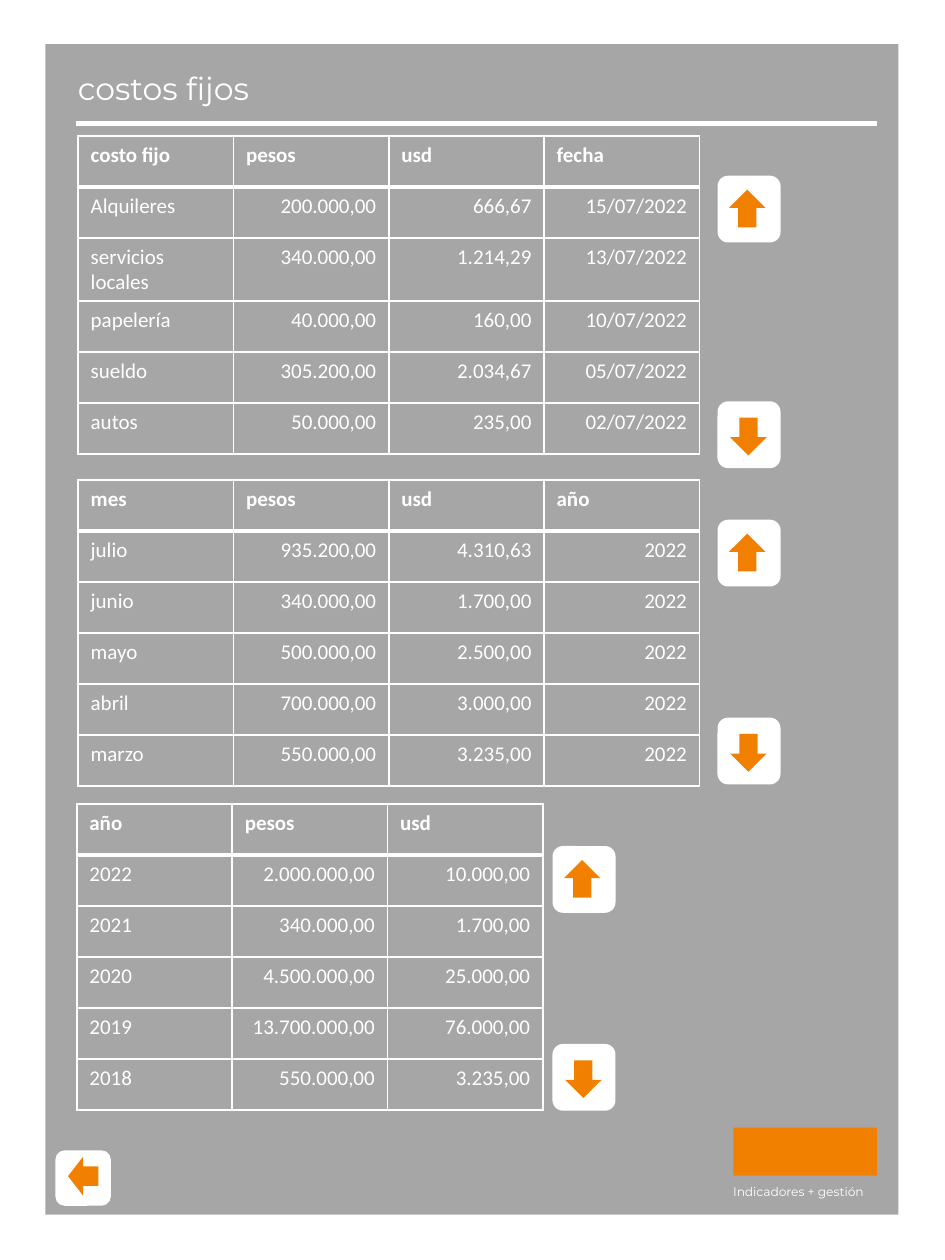
from lxml import etree
from pptx import Presentation, util as u
from pptx.dml.color import RGBColor
from pptx.enum import shapes as s, text as t
from pptx.oxml import ns

COLORS = {"panel": "A6A6A6", "accent": "F28000", "light": "FFFFFF"}
SLIDE_W, SLIDE_H = u.Inches(7.5), u.Inches(10)
COLS, ROWS = 75, 100
CELL_W, ROW_H = 12.33, 4.05
BUTTON_W, BUTTON_H = 5.3, 5
GLYPH_W, GLYPH_H = 3, 2.9

FIXED_COSTS = [
    ("costo fijo", "pesos", "usd", "fecha"),
    ("Alquileres", "200.000,00", "666,67", "15/07/2022"),
    ("servicios locales", "340.000,00", "1.214,29", "13/07/2022"),
    ("papelería", "40.000,00", "160,00", "10/07/2022"),
    ("sueldo", "305.200,00", "2.034,67", "05/07/2022"),
    ("autos", "50.000,00", "235,00", "02/07/2022"),
]
MONTHLY_COSTS = [
    ("mes", "pesos", "usd", "año"),
    ("julio", "935.200,00", "4.310,63", "2022"),
    ("junio", "340.000,00", "1.700,00", "2022"),
    ("mayo", "500.000,00", "2.500,00", "2022"),
    ("abril", "700.000,00", "3.000,00", "2022"),
    ("marzo", "550.000,00", "3.235,00", "2022"),
]
YEARLY_COSTS = [
    ("año", "pesos", "usd"),
    ("2022", "2.000.000,00", "10.000,00"),
    ("2021", "340.000,00", "1.700,00"),
    ("2020", "4.500.000,00", "25.000,00"),
    ("2019", "13.700.000,00", "76.000,00"),
    ("2018", "550.000,00", "3.235,00"),
]


def col(count):
    """Return the width of a number of grid columns."""
    return round(SLIDE_W * count / COLS)


def row(count):
    """Return the height of a number of grid rows."""
    return round(SLIDE_H * count / ROWS)


def place(box):
    """Turn a grid box into slide lengths."""
    left, top, width, height = box
    return col(left), row(top), col(width), row(height)


def rgb(color):
    """Look up a colour by its role."""
    return RGBColor.from_string(COLORS[color])


def add_block(slide, kind, box, color, rotation=0):
    """Add a flat filled shape."""
    block = slide.shapes.add_shape(kind, *place(box))
    block.shadow.inherit = False
    block.fill.solid()
    block.fill.fore_color.rgb = rgb(color)
    block.line.fill.background()
    block.rotation = rotation


def style_text(paragraph, font, size, bold=False):
    """Format every run of a paragraph."""
    for run in paragraph.runs:
        run.font.name = font
        run.font.size = u.Pt(size)
        run.font.bold = bold
        run.font.color.rgb = rgb("light")


def add_label(slide, box, wording, size):
    """Add a line of text."""
    label = slide.shapes.add_textbox(*place(box)).text_frame
    label.word_wrap = True
    label.text = wording
    style_text(label.paragraphs[0], "Montserrat", size)


def add_button(slide, box, glyph_box, rotation=0):
    """Add a rounded button with an arrow, whose box is relative to the button."""
    left, top = box[:2]
    dx, dy, width, height = glyph_box
    add_block(slide, s.MSO_SHAPE.ROUNDED_RECTANGLE, box, "light", rotation)
    add_block(slide, s.MSO_SHAPE.LEFT_ARROW,
              (left + dx, top + dy, width, height), "accent", rotation)


def add_scroll(slide, box):
    """Add an up button at the top of the box and a down button at its foot."""
    left, top, width, height = box
    add_button(slide, (left, top + height - BUTTON_H, width, BUTTON_H),
               (1.1, 1.2, GLYPH_W, GLYPH_H), 270)
    add_button(slide, (left, top, width, BUTTON_H),
               (1, 1, GLYPH_W, GLYPH_H), 90)


def set_borders(cell, top, bottom):
    """Draw the four borders of a cell, then leave it unfilled."""
    properties = cell._tc.get_or_add_tcPr()
    for side, points in (("L", 1), ("R", 1), ("T", top), ("B", bottom)):
        border = etree.SubElement(properties, ns.qn(f"a:ln{side}"), w=str(u.Pt(points)))
        fill = etree.SubElement(border, ns.qn("a:solidFill"))
        etree.SubElement(fill, ns.qn("a:srgbClr"), val=COLORS["light"])
    cell.fill.background()


def add_costs(slide, left, top, records, scroll_box):
    """Add a table of costs and its scroll buttons."""
    box = (left, top, CELL_W * len(records[0]), ROW_H * len(records))
    costs = slide.shapes.add_table(len(records), len(records[0]), *place(box)).table
    costs.horz_banding = False
    for column in costs.columns:
        column.width = col(CELL_W)
    for line, record in enumerate(records):
        costs.rows[line].height = row(ROW_H)
        for position, value in enumerate(record):
            cell = costs.cell(line, position)
            cell.text = value
            paragraph = cell.text_frame.paragraphs[0]
            style_text(paragraph, "Calibri", 12, line == 0)
            if line and position:
                paragraph.alignment = t.PP_ALIGN.RIGHT
            set_borders(cell, 3 if line == 1 else 1, 3 if line == 0 else 1)
    add_scroll(slide, scroll_box)


def add_header(slide, box):
    """Add the title and the rule under it."""
    left, top, width, height = box
    add_label(slide, (left - 0.8, top, 58.6, 4), "costos fijos", 18)
    bottom = row(top + height)
    rule = slide.shapes.add_connector(
        s.MSO_CONNECTOR.STRAIGHT, col(left), bottom, col(left + width), bottom)
    rule.line.color.rgb = rgb("light")
    rule.line.width = u.Pt(3)
    etree.SubElement(rule._element.spPr, ns.qn("a:effectLst"))


def add_brand(slide, box):
    """Add a plain brand block with the tagline under it."""
    left, top, width, height = box
    add_block(slide, s.MSO_SHAPE.RECTANGLE, box, "accent")
    add_label(slide, (left - 1, top + height + 0.2, 15, 2.2), "Indicadores + gestión", 7)


def main():
    """Build the fixed costs slide."""
    deck = Presentation()
    deck.slide_width, deck.slide_height = SLIDE_W, SLIDE_H
    slide = deck.slides.add_slide(deck.slide_layouts[6])
    add_block(slide, s.MSO_SHAPE.RECTANGLE, (3.6, 3.5, 67.7, 92.9), "panel")
    add_brand(slide, (58.2, 89.5, 11.4, 3.8))
    add_header(slide, (6, 5, 63.6, 4.8))
    add_button(slide, (4.4, 91.3, 4.4, 4.4), (1, 0.5, 2.4, 3.1))
    add_costs(slide, 6.2, 10.8, FIXED_COSTS, (56.8, 14.1, BUTTON_W, 22.9))
    add_costs(slide, 6.2, 38.1, MONTHLY_COSTS, (56.8, 41.4, BUTTON_W, 20.7))
    add_costs(slide, 6.1, 63.8, YEARLY_COSTS, (43.7, 67.3, BUTTON_W, 20.7))
    deck.save("out.pptx")


if __name__ == "__main__":
    main()
